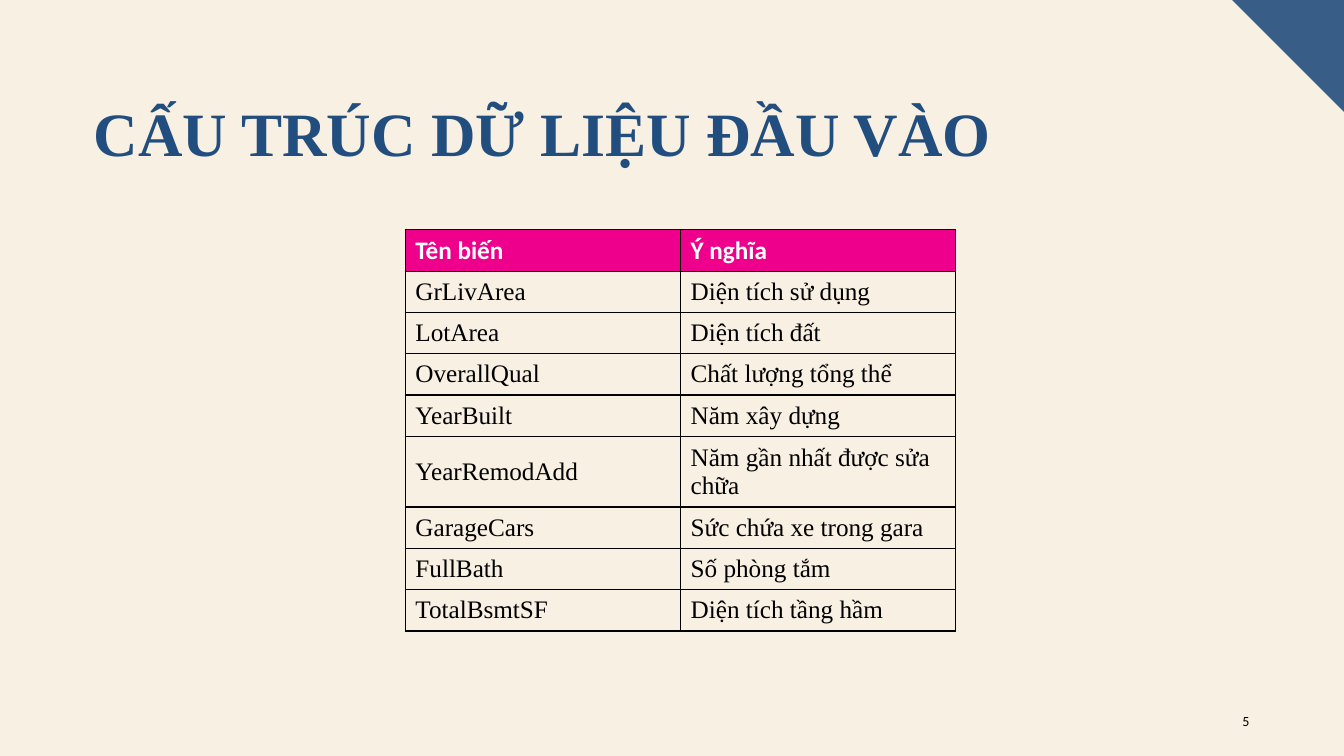
from lxml.etree import SubElement
from pptx import Presentation
from pptx.dml.color import RGBColor
from pptx.enum.text import MSO_ANCHOR as Anchor, PP_ALIGN as Align
from pptx.oxml.ns import qn
from pptx.util import Inches, Pt

CREAM = RGBColor(0xF8, 0xF0, 0xE3)
CORNER_BLUE = RGBColor(0x38, 0x5E, 0x88)
TITLE_BLUE = RGBColor(0x22, 0x4E, 0x7F)
PINK = RGBColor(0xEE, 0x00, 0x8C)
WHITE = RGBColor(0xFF, 0xFF, 0xFF)
BLACK = RGBColor(0x00, 0x00, 0x00)

TITLE_FONT = {"name": "Times New Roman", "size": Pt(44), "bold": True}
HEADER_FONT = {"name": "Calibri", "size": Pt(18), "bold": True}
BODY_FONT = {"name": "Times New Roman", "size": Pt(18), "bold": False}
NUMBER_FONT = {"name": "Calibri", "size": Pt(10)}

VARIABLES = [
    ("Tên biến", "Ý nghĩa"),
    ("GrLivArea", "Diện tích sử dụng"),
    ("LotArea", "Diện tích đất"),
    ("OverallQual", "Chất lượng tổng thể"),
    ("YearBuilt", "Năm xây dựng"),
    ("YearRemodAdd", "Năm gần nhất được sửa chữa"),
    ("GarageCars", "Sức chứa xe trong gara"),
    ("FullBath", "Số phòng tắm"),
    ("TotalBsmtSF", "Diện tích tầng hầm"),
]


def write(para, text, font, color):
    """Add one formatted run to a paragraph."""
    span = para.add_run()
    span.text = text
    for key, value in font.items():
        setattr(span.font, key, value)
    span.font.color.rgb = color


def add_corner(page, left, top, side):
    """Fill the top right corner of the page with a triangle."""
    builder = page.shapes.build_freeform(Inches(left), Inches(top))
    builder.add_line_segments([
        (Inches(left + side), Inches(top)),
        (Inches(left + side), Inches(top + side)),
    ])
    corner = builder.convert_to_shape()
    corner.shadow.inherit = False
    corner.fill.solid()
    corner.fill.fore_color.rgb = CORNER_BLUE
    corner.line.fill.background()


def add_text(page, area, text, font, color, anchor, layout):
    """Place one line of text in a box, with paragraph settings from layout."""
    box = page.shapes.add_textbox(*map(Inches, area))
    frame = box.text_frame
    frame.word_wrap = True
    frame.vertical_anchor = anchor
    para = frame.paragraphs[0]
    for key, value in layout.items():
        setattr(para, key, value)
    write(para, text, font, color)


def add_borders(cell):
    """Draw a one-point black line on each side of a cell."""
    properties = cell._tc.get_or_add_tcPr()
    for side in ("a:lnL", "a:lnR", "a:lnT", "a:lnB"):
        line = SubElement(properties, qn(side), w=str(Pt(1)))
        fill = SubElement(line, qn("a:solidFill"))
        SubElement(fill, qn("a:srgbClr"), val=str(BLACK))


def add_variables(page, left, top, width, row_height):
    """Build the table of variables and their meanings."""
    columns = len(VARIABLES[0])
    frame = page.shapes.add_table(
        len(VARIABLES), columns, Inches(left), Inches(top),
        Inches(width), Inches(row_height * len(VARIABLES)))
    table = frame.table
    for row_index, entries in enumerate(VARIABLES):
        table.rows[row_index].height = Inches(row_height)
        is_header = row_index == 0
        font, color = (HEADER_FONT, WHITE) if is_header else (BODY_FONT, BLACK)
        for column_index, text in enumerate(entries):
            cell = table.cell(row_index, column_index)
            cell.vertical_anchor = Anchor.MIDDLE
            add_borders(cell)
            if is_header:
                cell.fill.solid()
                cell.fill.fore_color.rgb = PINK
            else:
                cell.fill.background()
            write(cell.text_frame.paragraphs[0], text, font, color)


def build_page(deck):
    """Compose the slide on the input data structure."""
    page = deck.slides.add_slide(deck.slide_layouts[6])
    page.background.fill.solid()
    page.background.fill.fore_color.rgb = CREAM
    add_corner(page, 12.22, 0, 1.11)
    add_text(page, (0.83, 0.98, 11.67, 1.45), "CẤU TRÚC DỮ LIỆU ĐẦU VÀO",
             TITLE_FONT, TITLE_BLUE, Anchor.TOP, {"line_spacing": 0.9})
    add_variables(page, 4.02, 2.28, 5.46, 0.41)
    add_text(page, (11.99, 6.95, 0.5, 0.4), "5", NUMBER_FONT, BLACK,
             Anchor.MIDDLE, {"alignment": Align.RIGHT, "space_after": Pt(6)})


def main():
    """Create the deck and save it."""
    deck = Presentation()
    deck.slide_width, deck.slide_height = Inches(13.33), Inches(7.5)
    build_page(deck)
    deck.save("out.pptx")


if __name__ == "__main__":
    main()
